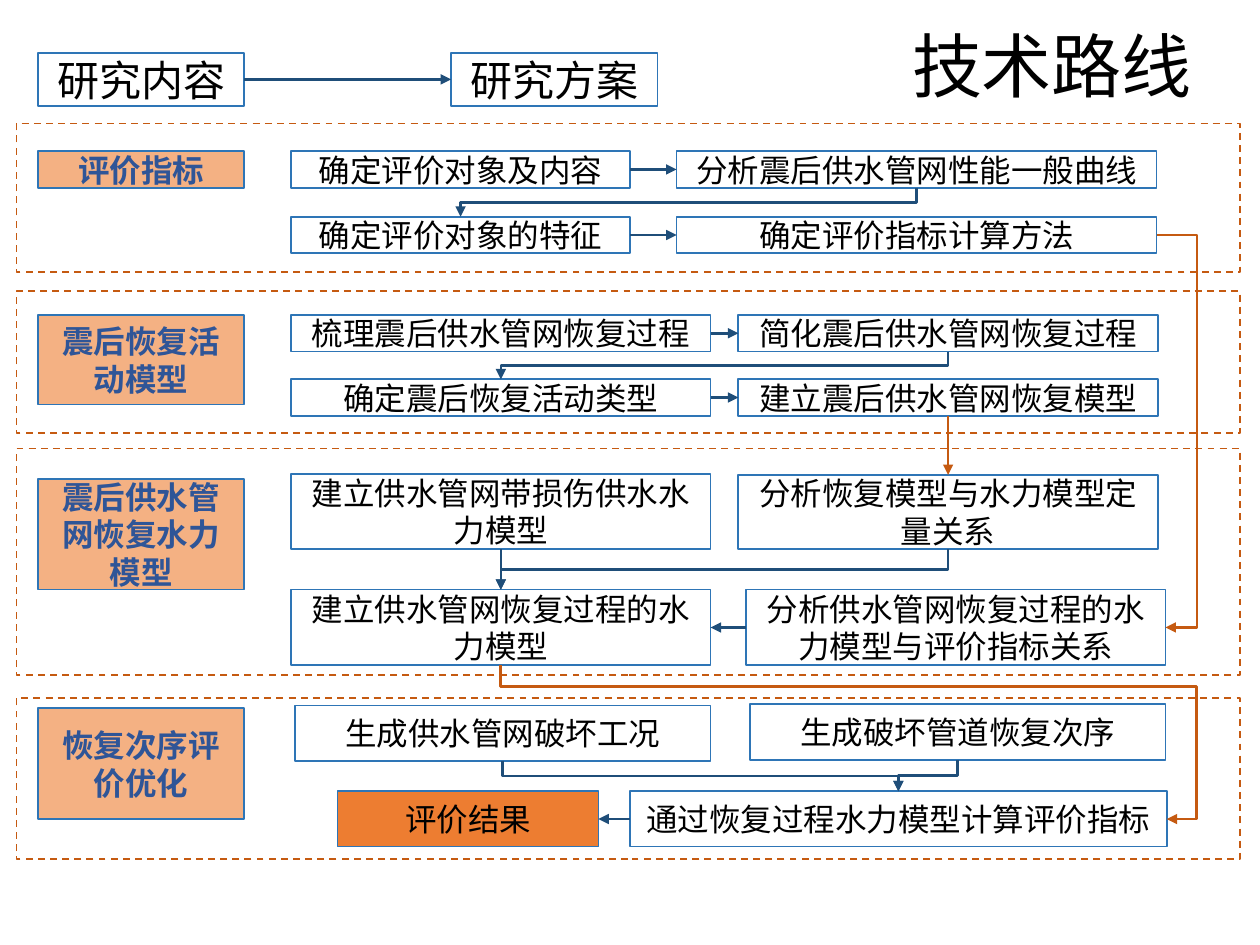
from typing import NamedTuple

from lxml import etree
from pptx import Presentation
from pptx import util as u
from pptx.dml.color import RGBColor
from pptx.enum import dml, shapes, text
from pptx.oxml.ns import qn

COLORS = {
    "black": "000000", "white": "FFFFFF", "border": "2E75B6", "flow": "1F4E79",
    "cross": "C55A11", "topic": "F4B183", "topic_text": "2F5597", "result": "ED7D31",
}
FONT = "Calibri"
TOP, LEFT, BOTTOM, RIGHT = range(4)
LANE = 9.5  # x of the vertical run right of the boxes


class Style(NamedTuple):
    fill: str | None = None
    ink: str = "black"
    size: int = 18
    bold: bool = False


class Box(NamedTuple):
    left: float
    top: float
    width: float
    height: float
    label: str
    style: Style = Style()


class Link(NamedTuple):
    start: str
    start_side: int
    end: str
    end_side: int
    color: str = "flow"


STEP = Style()
HEADING = Style(size=24)
TOPIC = Style("topic", "topic_text", bold=True)
RESULT = Style("result")

SECTIONS = [(0.98, 1.18), (2.31, 1.13), (3.56, 1.8), (5.54, 1.28)]  # top, height
COL_1, COL_2 = 2.31, 5.86
WIDE = 3.33
ROW = 0.29

BOXES = {
    "content": Box(0.3, 0.42, 1.64, 0.42, "研究内容", HEADING),
    "plan": Box(3.58, 0.42, 1.64, 0.42, "研究方案", HEADING),
    "topic_index": Box(0.3, 1.2, 1.64, ROW, "评价指标", TOPIC),
    "topic_recovery": Box(0.3, 2.5, 1.64, 0.71, "震后恢复活动模型", TOPIC),
    "topic_hydraulic": Box(0.3, 3.8, 1.64, 0.88, "震后供水管网恢复水力模型", TOPIC),
    "topic_order": Box(0.3, 5.62, 1.64, 0.88, "恢复次序评价优化", TOPIC),
    "object": Box(COL_1, 1.2, 2.69, ROW, "确定评价对象及内容"),
    "curve": Box(5.37, 1.2, 3.81, ROW, "分析震后供水管网性能一般曲线"),
    "feature": Box(COL_1, 1.72, 2.69, ROW, "确定评价对象的特征"),
    "method": Box(5.37, 1.72, 3.81, ROW, "确定评价指标计算方法"),
    "process": Box(COL_1, 2.5, WIDE, ROW, "梳理震后供水管网恢复过程"),
    "simplify": Box(COL_2, 2.5, WIDE, ROW, "简化震后供水管网恢复过程"),
    "activity": Box(COL_1, 3.01, WIDE, ROW, "确定震后恢复活动类型"),
    "recovery": Box(COL_2, 3.01, WIDE, ROW, "建立震后供水管网恢复模型"),
    "damage": Box(COL_1, 3.76, WIDE, 0.6, "建立供水管网带损伤供水水力模型"),
    "quantity": Box(COL_2, 3.77, WIDE, 0.59, "分析恢复模型与水力模型定量关系"),
    "hydraulic": Box(COL_1, 4.68, WIDE, 0.6, "建立供水管网恢复过程的水力模型"),
    "relation": Box(5.92, 4.68, WIDE, 0.6, "分析供水管网恢复过程的水力模型与评价指标关系"),
    "scenario": Box(2.34, 5.6, 3.3, 0.44, "生成供水管网破坏工况"),
    "sequence": Box(5.95, 5.59, 3.3, 0.44, "生成破坏管道恢复次序"),
    "compute": Box(5, 6.28, 4.26, 0.44, "通过恢复过程水力模型计算评价指标"),
    "result": Box(2.68, 6.28, 2.07, 0.44, "评价结果", RESULT),
}

STRAIGHT = [
    Link("content", RIGHT, "plan", LEFT),
    Link("object", RIGHT, "curve", LEFT),
    Link("feature", RIGHT, "method", LEFT),
    Link("process", RIGHT, "simplify", LEFT),
    Link("activity", RIGHT, "recovery", LEFT),
    Link("recovery", BOTTOM, "quantity", TOP, "cross"),
    Link("damage", BOTTOM, "hydraulic", TOP),
    Link("relation", LEFT, "hydraulic", RIGHT),
    Link("compute", LEFT, "result", RIGHT),
]
BENT = [
    Link("curve", BOTTOM, "feature", TOP),
    Link("simplify", BOTTOM, "activity", TOP),
    Link("quantity", BOTTOM, "hydraulic", TOP),
    Link("scenario", BOTTOM, "compute", TOP),
    Link("sequence", BOTTOM, "compute", TOP),
    Link("method", RIGHT, "relation", RIGHT, "cross"),
    Link("hydraulic", BOTTOM, "compute", RIGHT, "cross"),
]


def rgb(name: str) -> RGBColor:
    return RGBColor.from_string(COLORS[name])


def write(frame, label: str, style: Style) -> None:
    run = frame.paragraphs[0].add_run()
    run.text = label
    run.font.name = FONT
    run.font.size = u.Pt(style.size)
    run.font.bold = style.bold
    run.font.color.rgb = rgb(style.ink)


def add_rect(slide, left: float, top: float, width: float, height: float,
             border: str, fill: str | None = None):
    rect = slide.shapes.add_shape(
        shapes.MSO_SHAPE.RECTANGLE, *map(u.Inches, (left, top, width, height)))
    rect.shadow.inherit = False
    if fill:
        rect.fill.solid()
        rect.fill.fore_color.rgb = rgb(fill)
    else:
        rect.fill.background()
    rect.line.color.rgb = rgb(border)
    rect.line.width = u.Pt(1)
    return rect


def add_box(slide, box: Box):
    rect = add_rect(slide, *box[:4], "border", box.style.fill)
    frame = rect.text_frame
    frame.word_wrap = True
    frame.vertical_anchor = text.MSO_ANCHOR.MIDDLE
    frame.paragraphs[0].alignment = text.PP_ALIGN.CENTER
    write(frame, box.label, box.style)
    return rect


def side_point(box: Box, side: int) -> tuple[float, float]:
    across, down = [(0.5, 0), (0, 0.5), (0.5, 1), (1, 0.5)][side]
    return box.left + across * box.width, box.top + down * box.height


def add_arrow(slide, kind, begin: tuple[float, float], end: tuple[float, float], color: str):
    arrow = slide.shapes.add_connector(kind, *map(u.Inches, (*begin, *end)))
    arrow.line.color.rgb = rgb(color)
    arrow.line.width = u.Pt(1.5)
    etree.SubElement(arrow.line._get_or_add_ln(), qn("a:tailEnd"), type="triangle")
    etree.SubElement(arrow._element.spPr, qn("a:effectLst"))
    return arrow


def add_straight(slide, link: Link, drawn: dict) -> None:
    arrow = add_arrow(slide, shapes.MSO_CONNECTOR.STRAIGHT,
                      side_point(BOXES[link.start], link.start_side),
                      side_point(BOXES[link.end], link.end_side), link.color)
    arrow.begin_connect(drawn[link.start], link.start_side)
    arrow.end_connect(drawn[link.end], link.end_side)


def add_bent(slide, link: Link) -> None:
    """Draw an elbow; one that leaves downwards is a sideways elbow turned by 90 degrees."""
    x1, y1 = begin = side_point(BOXES[link.start], link.start_side)
    x2, y2 = end = side_point(BOXES[link.end], link.end_side)
    dx, dy = x2 - x1, y2 - y1
    downwards = link.start_side == BOTTOM
    if downwards:
        mid_x, mid_y = (x1 + x2) / 2, (y1 + y2) / 2
        begin = mid_x - dy / 2, mid_y + dx / 2
        end = mid_x + dy / 2, mid_y - dx / 2
    arrow = add_arrow(slide, shapes.MSO_CONNECTOR.ELBOW, begin, end, link.color)
    geometry = arrow._element.spPr.find(qn("a:prstGeom"))
    if downwards:
        arrow._element.spPr.find(qn("a:xfrm")).set("rot", str(90 * 60000))

    bends = {}
    if link.end_side == RIGHT:
        to_lane = (LANE - x1) / dx
        bends = {"adj1": 0.14, "adj2": to_lane} if downwards else {"adj1": to_lane}
    if len(bends) == 2:
        geometry.set("prst", "bentConnector4")
    guides = geometry.find(qn("a:avLst"))
    for name, share in bends.items():
        etree.SubElement(guides, qn("a:gd"), name=name, fmla=f"val {round(share * 100000)}")


def main() -> None:
    deck = Presentation()
    deck.slide_width, deck.slide_height = u.Inches(10), u.Inches(7.5)
    slide = deck.slides.add_slide(deck.slide_layouts[6])
    slide.background.fill.solid()
    slide.background.fill.fore_color.rgb = rgb("white")

    for top, height in SECTIONS:
        section = add_rect(slide, 0.13, top, 9.71, height, "cross")
        section.line.dash_style = dml.MSO_LINE.DASH
    drawn = {key: add_box(slide, box) for key, box in BOXES.items()}
    for link in STRAIGHT:
        add_straight(slide, link, drawn)
    for link in BENT:
        add_bent(slide, link)

    title = slide.shapes.add_textbox(*map(u.Inches, (7.14, 0.13, 2.45, 0.77)))
    title.text_frame.word_wrap = False
    title.text_frame.auto_size = text.MSO_AUTO_SIZE.SHAPE_TO_FIT_TEXT
    write(title.text_frame, "技术路线", Style(size=40))
    deck.save("out.pptx")


if __name__ == "__main__":
    main()
